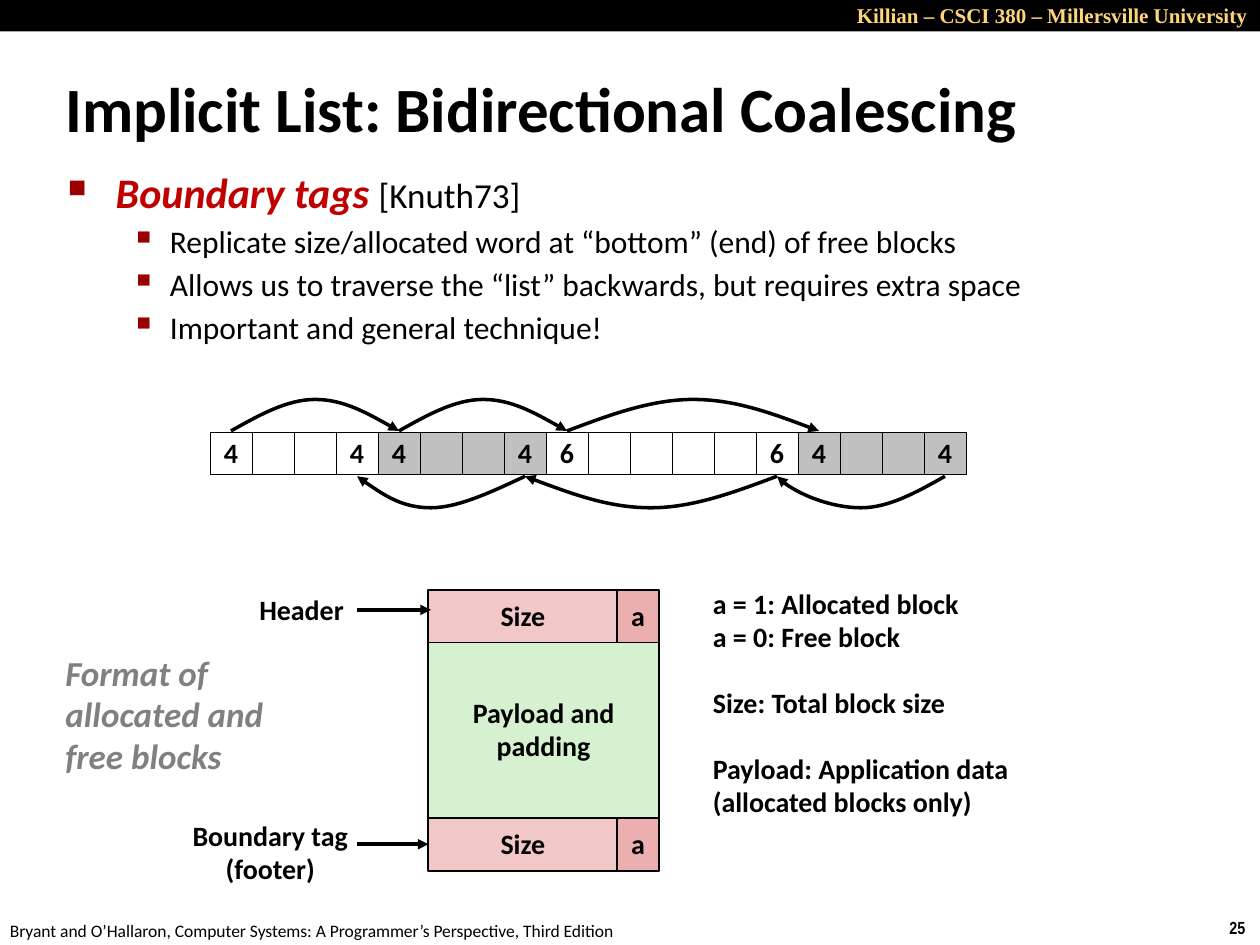
from dataclasses import dataclass
from typing import NamedTuple, Optional

from lxml import etree
from pptx import Presentation
from pptx.dml.color import RGBColor
from pptx.enum.shapes import MSO_CONNECTOR, MSO_SHAPE
from pptx.enum.text import MSO_ANCHOR, PP_ALIGN
from pptx.oxml.ns import qn
from pptx.util import Inches, Pt

LEFT, MID, RIGHT = PP_ALIGN.LEFT, PP_ALIGN.CENTER, PP_ALIGN.RIGHT
TOP, CORE = MSO_ANCHOR.TOP, MSO_ANCHOR.MIDDLE
RECT, LINE = MSO_SHAPE.RECTANGLE, MSO_CONNECTOR.STRAIGHT

COLS, ROWS = 100, 75
UNIT = Inches(10) / COLS


@dataclass(frozen=True)
class Theme:
    font: str = "Calibri"
    serif: str = "Times New Roman"
    narrow: str = "Arial Narrow"
    ink: str = "000000"
    paper: str = "FFFFFF"
    gold: str = "FFD579"
    red: str = "C00000"
    mark: str = "990000"
    mute: str = "808080"
    used: str = "C0C0C0"
    rose: str = "F1C7C7"
    flag: str = "EBAFAF"
    green: str = "D5F1CF"
    head: float = 36
    lead: float = 24
    big: float = 20
    item: float = 18
    body: float = 16
    bar: float = 12
    foot: float = 10


T = Theme()


class Area(NamedTuple):
    x: float
    y: float
    w: float
    h: float


class Style(NamedTuple):
    size: float = T.body
    color: str = T.ink
    bold: bool = True
    slant: bool = False
    face: str = T.font
    align: PP_ALIGN = LEFT
    pitch: float = 0.98


class Label(NamedTuple):
    area: Area
    lines: tuple
    style: Style
    gaps: tuple = ()
    wrap: bool = False
    anchor: MSO_ANCHOR = TOP


class Box(NamedTuple):
    area: Area
    lines: tuple
    fill: str
    edge: float = 1


class Block(NamedTuple):
    words: int
    used: bool


class Arc(NamedTuple):
    start: int
    end: int
    bends: tuple


def span(n: float) -> int:
    return round(n * UNIT)


def tint(name: str) -> RGBColor:
    return RGBColor.from_string(name)


def ink(run, style: Style) -> None:
    font = run.font
    font.name, font.size = style.face, Pt(style.size)
    font.bold, font.italic = style.bold, style.slant
    font.color.rgb = tint(style.color)


def write(shape, lines: tuple, style: Style, gaps: tuple = ()) -> None:
    frame = shape.text_frame
    frame.text = "\n".join(lines)
    for row, para in enumerate(frame.paragraphs):
        para.alignment, para.line_spacing = style.align, style.pitch
        if row in gaps:
            para.space_before = Pt(19)
        for run in para.runs:
            ink(run, style)


def draw_label(slide, label: Label):
    shape = slide.shapes.add_textbox(*map(span, label.area))
    shape.text_frame.word_wrap = label.wrap
    shape.text_frame.vertical_anchor = label.anchor
    write(shape, label.lines, label.style, label.gaps)
    return shape


def draw_box(slide, box: Box):
    shape = slide.shapes.add_shape(RECT, *map(span, box.area))
    shape.shadow.inherit = False
    shape.fill.solid()
    shape.fill.fore_color.rgb = tint(box.fill)
    if box.edge:
        shape.line.color.rgb = tint(T.ink)
        shape.line.width = Pt(box.edge)
    else:
        shape.line.fill.background()
    shape.text_frame.word_wrap = False
    shape.text_frame.vertical_anchor = CORE
    if box.lines:
        write(shape, box.lines, Style(align=MID))
    return shape


def add_tip(shape) -> None:
    shape.line.color.rgb = tint(T.ink)
    shape.line.width = Pt(2)
    etree.SubElement(shape.line._get_or_add_ln(), qn("a:tailEnd"), type="triangle")


def draw_line(slide, row: float, goal: Optional[object] = None) -> None:
    ends = map(span, (28.3, row, 34.2, row))
    line = slide.shapes.add_connector(LINE, *ends)
    if goal is not None:
        line.end_connect(goal, 1)
    add_tip(line)
    etree.SubElement(line._element.spPr, qn("a:effectLst"))


def draw_arc(slide, arc: Arc, base: float, peak: float) -> None:
    first, last = (STRIP.x + (n + 0.5) * STRIP.w for n in (arc.start, arc.end))
    levels = (base, (base + peak) / 2, peak, peak, peak, (base + peak) / 2, base)
    shares = (0, *arc.bends, 1)
    spots = [(span(first + (last - first) * s), span(y))
             for s, y in zip(shares, levels)]
    pen = slide.shapes.build_freeform(*spots[0])
    pen.add_line_segments(spots[1:], close=False)
    shape = pen.convert_to_shape()
    shape.shadow.inherit = False
    shape.fill.background()
    track = shape._element.spPr.find(".//" + qn("a:path"))
    steps = track.findall(qn("a:lnTo"))
    for k in range(0, len(steps), 3):
        curve = etree.SubElement(track, qn("a:cubicBezTo"))
        for step in steps[k:k + 3]:
            curve.append(step[0])
            track.remove(step)
    add_tip(shape)


def add_mark(para, sign: str, scale: int, margin: float, hang: float) -> None:
    props = para._p.get_or_add_pPr()
    props.set("marL", str(span(margin)))
    props.set("indent", str(-span(hang)))
    color = etree.SubElement(props, qn("a:buClr"))
    etree.SubElement(color, qn("a:srgbClr"), val=T.mark)
    etree.SubElement(props, qn("a:buSzPct"), val=str(scale * 1000))
    etree.SubElement(props, qn("a:buChar"), char=sign)


def draw_points(slide) -> None:
    style = Style(T.item, bold=False, pitch=0.88)
    shape = draw_label(slide, Label(Area(4.4, 13.4, 90.9, 14.5), POINTS, style, wrap=True))
    top, *rest = shape.text_frame.paragraphs
    top.line_spacing = 0.83
    add_mark(top, "■", 60, 3.8, 3.8)
    ink(top.runs[0], Style(T.lead, T.red, slant=True))
    cite = top.add_run()
    cite.text = "[Knuth73]"
    ink(cite, Style(T.big, bold=False))
    for para in rest:
        para.level = 1
        para.space_before = Pt(5.6)
        add_mark(para, "▪", 110, 8.1, 3.1)


def draw_strip(slide) -> None:
    spot = 0
    for block in BLOCKS:
        for n in range(block.words):
            text = (str(block.words),) if n in (0, block.words - 1) else ()
            area = STRIP._replace(x=STRIP.x + spot * STRIP.w)
            draw_box(slide, Box(area, text, T.used if block.used else T.paper, 0.25))
            spot += 1


STRIP = Area(50 / 3, 34.3, 10 / 3, 10 / 3)
BLOCKS = (Block(4, False), Block(4, True), Block(6, False), Block(4, True))
EVEN = (1 / 6, 1 / 3, 1 / 2, 2 / 3, 5 / 6)
NEXT = (Arc(0, 4, EVEN), Arc(4, 8, EVEN), Arc(8, 14, EVEN))
BACK = (Arc(7, 3, (0.2, 0.4, 0.56, 0.73, 0.87)), Arc(13, 7, EVEN),
        Arc(17, 13, (1 / 6, 1 / 3, 1 / 2, 2 / 3, 0.92)))
POINTS = (
    "Boundary tags ",
    "Replicate size/allocated word at “bottom” (end) of free blocks",
    "Allows us to traverse the “list” backwards, but requires extra space",
    "Important and general technique!",
)
LABELS = (
    Label(Area(60.8, -0.3, 39.2, 3), ("Killian – CSCI 380 – Millersville University",),
          Style(T.bar, T.gold, face=T.serif, align=RIGHT, pitch=1), wrap=True),
    Label(Area(96.6, 72.3, 3.4, 2.7), ("25",), Style(T.foot, face=T.narrow, pitch=1)),
    Label(Area(-0.2, 72.5, 50.8, 2.7),
          ("Bryant and O’Hallaron, Computer Systems: A Programmer’s Perspective, Third Edition",),
          Style(T.foot, bold=False, pitch=1)),
    Label(Area(4.2, 5.4, 95.8, 6.3), ("Implicit List: Bidirectional Coalescing",),
          Style(T.head, pitch=1), wrap=True, anchor=CORE),
    Label(Area(4.2, 51.4, 17.8, 10.9), ("Format of", "allocated and", "free blocks"),
          Style(T.big, T.mute, slant=True)),
    Label(Area(55.6, 46.2, 25.7, 22.2),
          ("a = 1: Allocated block", "a = 0: Free block", "Size: Total block size",
           "Payload: Application data", "(allocated blocks only)"), Style(), (2, 3)),
    Label(Area(14.2, 64.6, 14.5, 6.3), ("Boundary tag", "(footer)"), Style(align=MID)),
    Label(Area(19.6, 46.7, 8.8, 3.7), ("Header",), Style()),
)


def main() -> None:
    deck = Presentation()
    deck.slide_width, deck.slide_height = span(COLS), span(ROWS)
    slide = deck.slides.add_slide(deck.slide_layouts[6])
    draw_box(slide, Box(Area(0, 0, COLS, 2.5), (), T.ink, 0))
    for label in LABELS:
        draw_label(slide, label)
    draw_points(slide)
    draw_box(slide, Box(Area(34, 50.9, 18.3, 14.1), ("Payload and", "padding"), T.green))
    for row in (46.8, 64.9):
        size = draw_box(slide, Box(Area(34, row, 15, 4.2), ("Size",), T.rose))
        draw_box(slide, Box(Area(49, row, 3.3, 4.2), ("a",), T.flag))
    draw_line(slide, 48.4)
    draw_line(slide, 67, size)
    draw_strip(slide)
    for arc in NEXT:
        draw_arc(slide, arc, 34.2, 31.7)
    for arc in BACK:
        draw_arc(slide, arc, 37.8, 40.3)
    deck.save("out.pptx")


if __name__ == "__main__":
    main()
